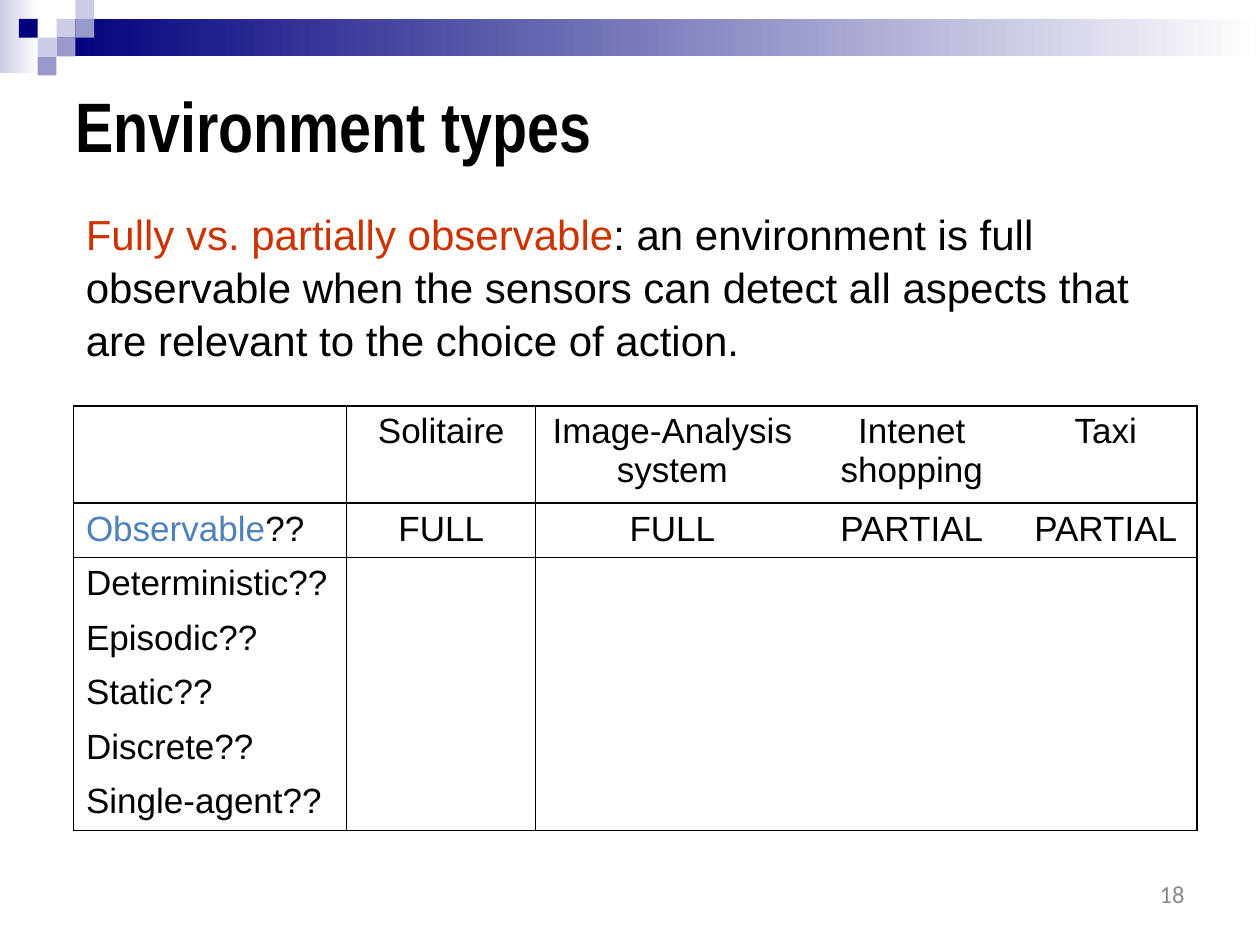
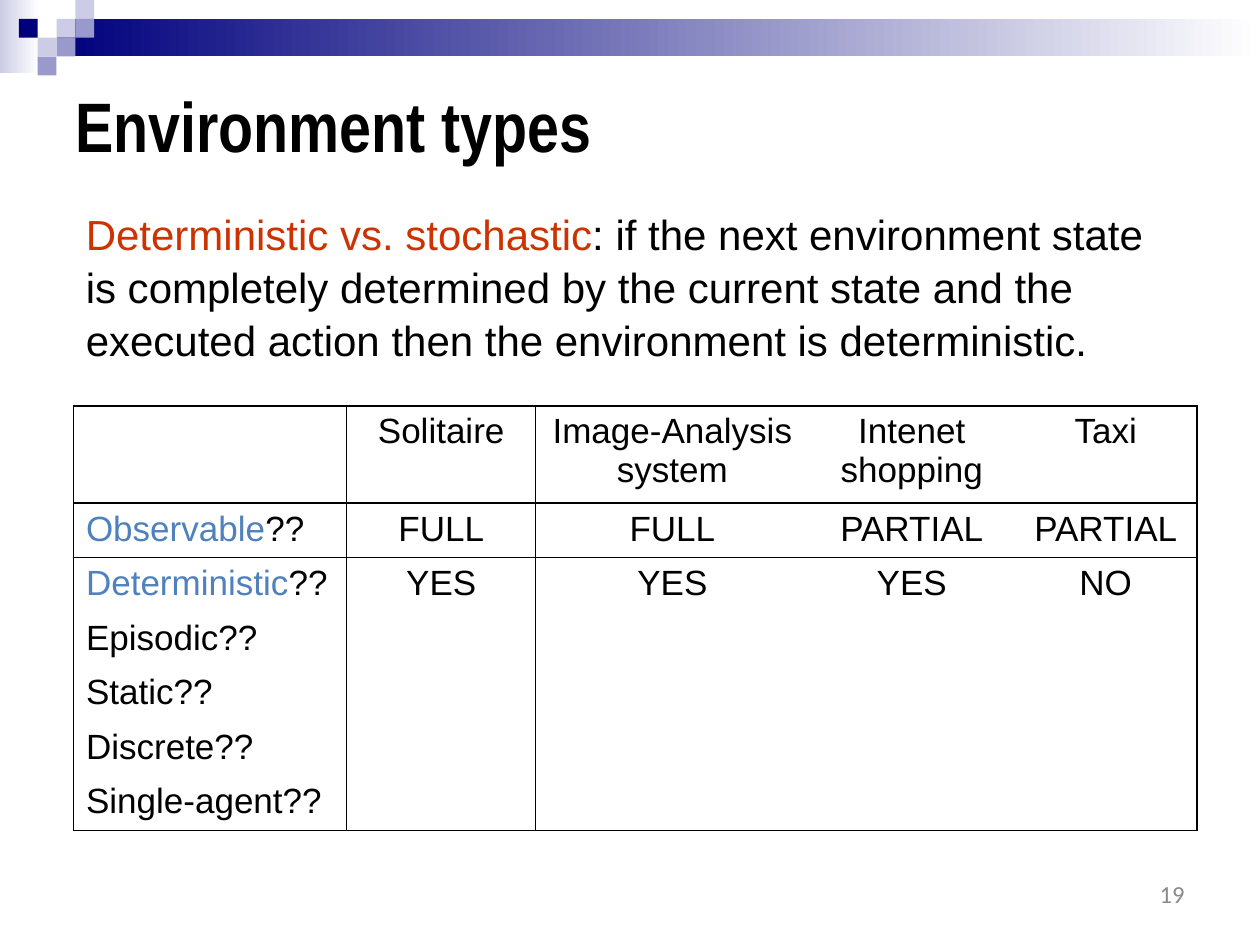
from lxml.etree import SubElement
from pptx import Presentation
from pptx.dml.color import RGBColor
from pptx.enum.shapes import MSO_SHAPE
from pptx.enum.text import MSO_ANCHOR, PP_ALIGN
from pptx.oxml.ns import qn
from pptx.util import Cm, Pt

COLOURS = {
    "text": "000000",
    "navy": "00007D",
    "violet": "9999CC",
    "lilac": "CCCCE6",
    "white": "FFFFFF",
    "term": "CC3300",
    "done": "4F81BD",
    "number": "898989",
}
SQUARE = 0.38
SQUARES = [  # column, row, colour on the grid of small squares
    (3, 1, "lilac"), (4, 0, "lilac"), (4, 1, "violet"), (2, 2, "lilac"),
    (1, 1, "navy"), (3, 2, "violet"), (2, 3, "violet"),
]
NO_GRID_STYLE = "{2D5ABB26-0587-4C30-8999-92F81FD0307C}"
COLUMN_WIDTHS = [5.51, 3.81, 5.51, 4.14, 3.68]
ROW_HEIGHTS = [1.96] + [1.1] * 6
TASKS = ["Solitaire", "Image-Analysis system", "Intenet shopping", "Taxi"]
PROPERTIES = ["Observable", "Deterministic", "Episodic", "Static", "Discrete", "Single-agent"]
ANSWERS = [
    ["FULL", "FULL", "PARTIAL", "PARTIAL"],
    ["YES", "YES", "YES", "NO"],
]
PAGES = [  # number, term, definition, answered rows
    (18, "Fully vs. partially observable",
     ": an environment is full observable when the sensors can detect all "
     "aspects that are relevant to the choice of action.", 1),
    (19, "Deterministic vs. stochastic",
     ": if the next environment state is completely determined by the current "
     "state and the executed action then the environment is deterministic.", 2),
]


def colour(name):
    """Return the named colour."""
    return RGBColor.from_string(COLOURS[name])


def lengths(box):
    """Turn left, top, width, height in centimetres into lengths."""
    return [Cm(value) for value in box]


def add_text(para, text, size=20, font="Arial", ink="text", bold=False, align=PP_ALIGN.LEFT):
    """Add one formatted run to a paragraph."""
    para.alignment = align
    span = para.add_run()
    span.text = text
    span.font.size = Pt(size)
    span.font.name = font
    span.font.bold = bold
    span.font.color.rgb = colour(ink)


def add_box(page, box, anchor=MSO_ANCHOR.TOP):
    """Add a wrapping text box and return its first paragraph."""
    frame = page.shapes.add_textbox(*lengths(box)).text_frame
    frame.word_wrap = True
    frame.vertical_anchor = anchor
    return frame.paragraphs[0]


def add_rectangle(page, box, start, end=None):
    """Add a borderless rectangle, plain or fading from left to right."""
    shape = page.shapes.add_shape(MSO_SHAPE.RECTANGLE, *lengths(box))
    shape.shadow.inherit = False
    shape.line.fill.background()
    if end is None:
        shape.fill.solid()
        shape.fill.fore_color.rgb = colour(start)
        return
    shape.fill.gradient()
    shape.fill.gradient_angle = 0
    for stop, position, name in zip(shape.fill.gradient_stops, (0, 1), (start, end)):
        stop.position = position
        stop.color.rgb = colour(name)


def add_header(page, box):
    """Add the fading band and the pattern of squares at the top."""
    left, top, width, height = box
    indent = 3 * SQUARE
    add_rectangle(page, (left, top, 0.79, height), "lilac", "white")
    add_rectangle(page, (left + indent, top + SQUARE, width - indent, 2 * SQUARE),
                  "navy", "white")
    for column, row, name in SQUARES:
        add_rectangle(page, (left + column * SQUARE, top + row * SQUARE, SQUARE, SQUARE), name)


def add_title(page, box, text):
    """Place and format the title placeholder."""
    title = page.shapes.title
    title.left, title.top, title.width, title.height = lengths(box)
    title.text_frame.vertical_anchor = MSO_ANCHOR.MIDDLE
    add_text(title.text_frame.paragraphs[0], text, size=40, font="Arial Narrow", bold=True)


def add_definition(page, box, term, meaning):
    """Add a coloured term followed by its meaning."""
    para = add_box(page, box)
    para.line_spacing = 1.05
    add_text(para, term, size=24, ink="term")
    add_text(para, meaning, size=24)


def set_borders(cell, sides):
    """Draw thin lines on the named sides (L, R, T, B, in that order)."""
    properties = cell._tc.get_or_add_tcPr()
    for side in sides:
        line = SubElement(properties, qn(f"a:ln{side}"), w=str(Pt(1)))
        fill = SubElement(line, qn("a:solidFill"))
        SubElement(fill, qn("a:srgbClr"), val=COLOURS["text"])


def add_comparison(page, box, answered):
    """Add the table of properties, with the first rows answered."""
    rows, columns = len(ROW_HEIGHTS), len(COLUMN_WIDTHS)
    frame = page.shapes.add_table(rows, columns, *lengths(box))
    table = frame.table
    table.first_row = table.horz_banding = False
    for style in frame.element.iter(qn("a:tableStyleId")):
        style.text = NO_GRID_STYLE
    for column, width in zip(table.columns, COLUMN_WIDTHS):
        column.width = Cm(width)
    for row, height in zip(table.rows, ROW_HEIGHTS):
        row.height = Cm(height)

    for row in range(rows):
        for column in range(columns):
            drawn = {"L": column <= 1, "R": column in (0, columns - 1),
                     "T": row <= 1, "B": row in (0, rows - 1)}
            cell = table.cell(row, column)
            set_borders(cell, [side for side, shown in drawn.items() if shown])
            cell.fill.background()

    for row, name in enumerate(PROPERTIES, 1):
        para = table.cell(row, 0).text_frame.paragraphs[0]
        if row <= answered:
            add_text(para, name, ink="done")
            add_text(para, "??")
        else:
            add_text(para, name + "??")
    for row, texts in enumerate([TASKS] + ANSWERS[:answered]):
        for column, text in enumerate(texts, 1):
            add_text(table.cell(row, column).text_frame.paragraphs[0], text,
                     align=PP_ALIGN.CENTER)


def add_number(page, box, number):
    """Add the page number at the lower right."""
    add_text(add_box(page, box, MSO_ANCHOR.MIDDLE), str(number), size=14,
             font="Calibri", ink="number", align=PP_ALIGN.RIGHT)


def add_page(deck, number, term, meaning, answered):
    """Add one slide with a definition above the table."""
    page = deck.slides.add_slide(deck.slide_layouts[5])
    add_header(page, (0, 0, 25.4, 1.47))
    add_title(page, (1.27, 1.17, 22.86, 2.67), "Environment types")
    add_comparison(page, (1.48, 8.18, sum(COLUMN_WIDTHS), sum(ROW_HEIGHTS)), answered)
    add_definition(page, (1.48, 4.03, 22.65, 3.33), term, meaning)
    add_number(page, (18.2, 17.58, 5.93, 0.89), number)


deck = Presentation()
deck.slide_width, deck.slide_height = Cm(25.4), Cm(19.05)
for content in PAGES:
    add_page(deck, *content)
deck.save("out.pptx")
